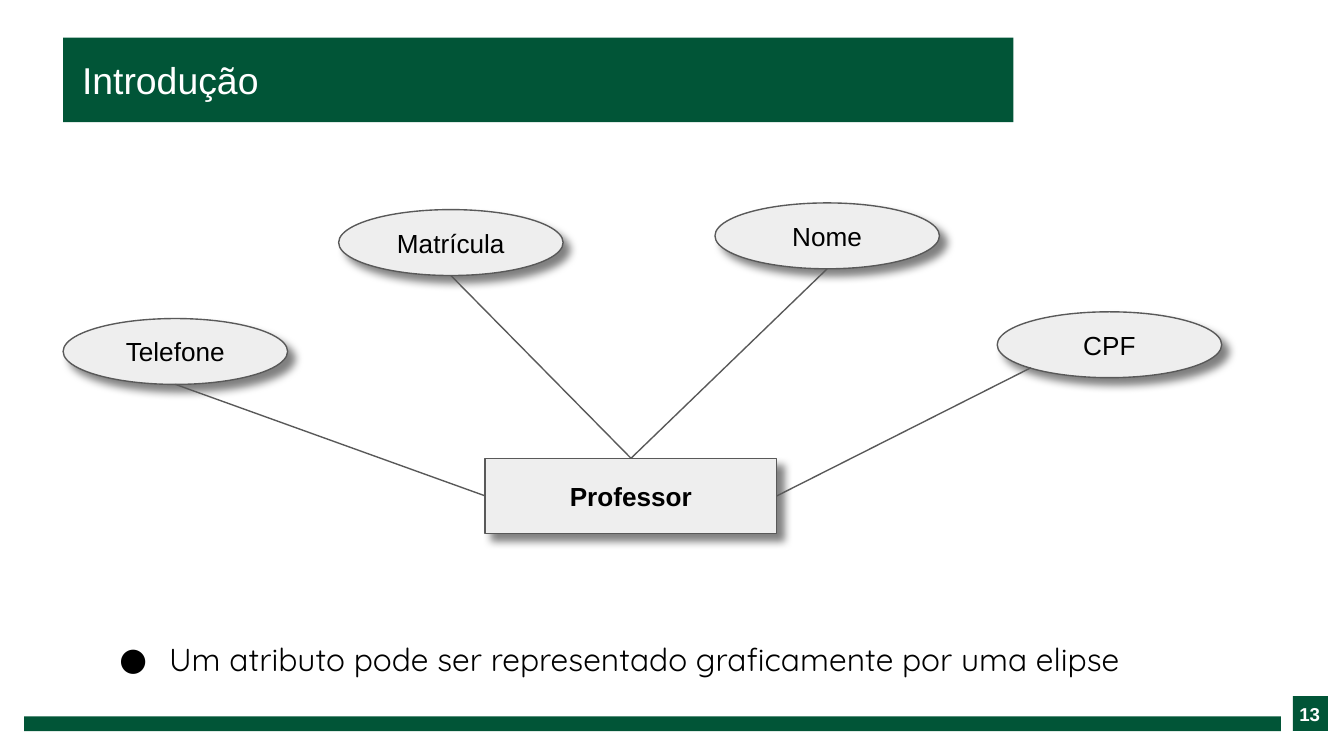
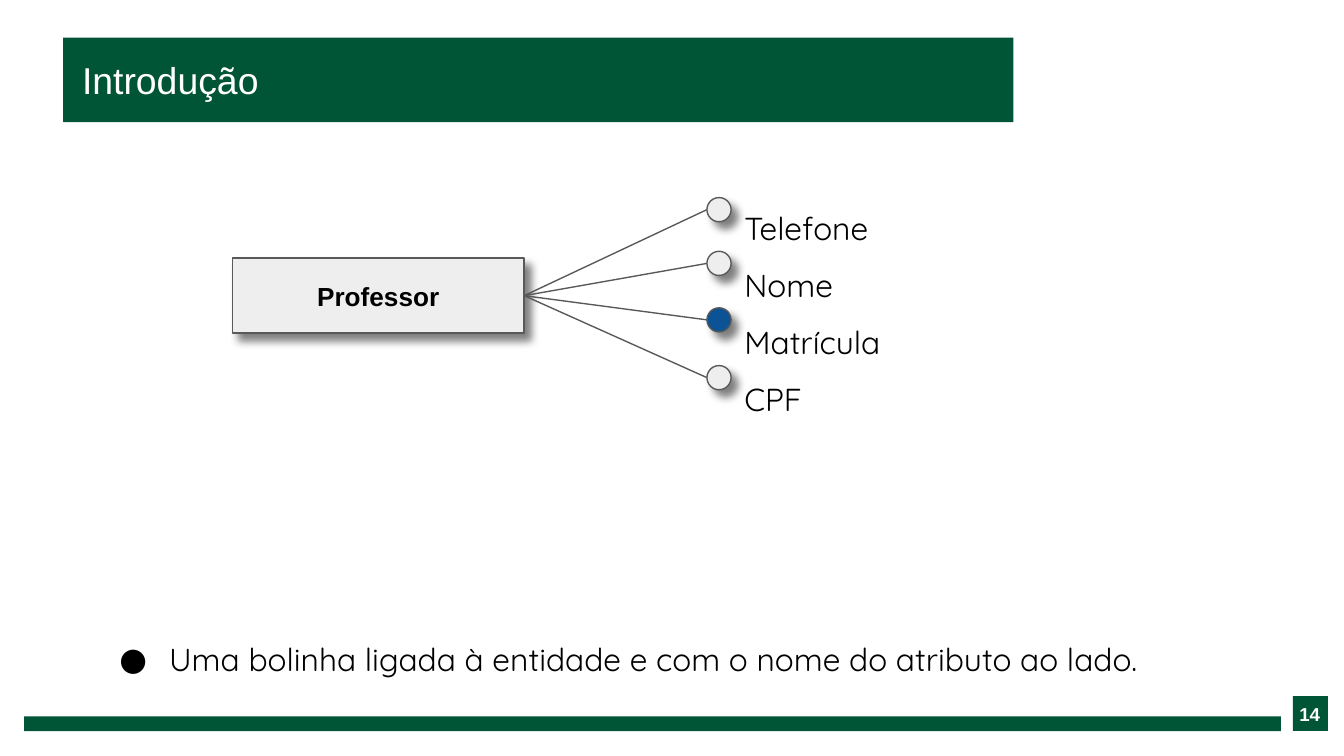
from dataclasses import dataclass
from typing import NamedTuple, Optional

from lxml import etree
from pptx import Presentation
from pptx import util as u
from pptx.dml.color import RGBColor
from pptx.enum import shapes, text
from pptx.oxml.ns import qn


# Theme and element descriptions
@dataclass(frozen=True)
class Theme:
    green: str = "015537"
    white: str = "FFFFFF"
    black: str = "000000"
    gray: str = "EEEEEE"
    outline: str = "595959"
    key_blue: str = "0B5394"
    line_width: float = 0.75
    title_size: int = 20
    body_size: int = 17
    label_size: int = 14
    number_size: int = 10
    plain_font: str = "Arial"
    body_font: str = "Quicksand"


THEME = Theme()


class Area(NamedTuple):
    left: float
    top: float
    width: float
    height: float

    def lengths(self) -> tuple:
        return tuple(u.Inches(value) for value in self)


class Style(NamedTuple):
    size: int
    name: str
    color: str = THEME.black
    bold: bool = False


class Attribute(NamedTuple):
    name: str
    left: float
    top: float
    link_x: float  # where the line meets the ellipse, as a share of its size
    link_y: float
    entity_site: int


class Dot(NamedTuple):
    top: float
    color: str = THEME.gray


TITLE_STYLE = Style(THEME.title_size, THEME.plain_font, THEME.white)
NUMBER_STYLE = Style(THEME.number_size, THEME.plain_font, THEME.white, True)
ENTITY_STYLE = Style(THEME.label_size, THEME.plain_font, bold=True)
LABEL_STYLE = Style(THEME.label_size, THEME.plain_font)
BODY_STYLE = Style(THEME.body_size, THEME.body_font)

TITLE_BAND = Area(0.47, 0.28, 7.07, 0.63)
FOOTER_BAND = Area(0.18, 5.33, 9.35, 0.11)
NUMBER_SQUARE = Area(9.62, 5.18, 0.26, 0.26)
NUMBER_TEXT = Area(9.51, 5.22, 0.41, 0.18)
BULLET_TEXT = Area(0.66, 4.66, 9.05, 0.49)
NAMES_TEXT = Area(5.44, 1.31, 1.37, 1.78)
ENTITY_SIZE = (2.17, 0.56)
ELLIPSE_SIZE = (1.67, 0.49)
DOT_LEFT, DOT_SIZE = 5.26, 0.18

# Connection sites of a rectangle
TOP, LEFT, RIGHT = 0, 1, 3

ATTRIBUTES = [
    Attribute("Telefone", 0.47, 2.37, 0.5, 1, LEFT),
    Attribute("Matrícula", 2.52, 1.56, 0.5, 1, TOP),
    Attribute("Nome", 5.32, 1.51, 0.5, 1, TOP),
    Attribute("CPF", 7.42, 2.32, 0.15, 0.85, RIGHT),
]
DOTS = [Dot(1.47), Dot(1.87), Dot(2.29, THEME.key_blue), Dot(2.72)]
DOT_NAMES = ["Telefone", "Nome", "Matrícula", "CPF"]


# Text helpers
def set_values(target, values: dict) -> None:
    for name, value in values.items():
        setattr(target, name, value)


def write(frame, lines: list, style: Style, margin: float = 0.1,
          anchor=text.MSO_ANCHOR.MIDDLE, align=text.PP_ALIGN.LEFT,
          grow: bool = False, spacing: Optional[float] = None) -> None:
    fit = text.MSO_AUTO_SIZE
    set_values(frame, {
        "word_wrap": True,
        "auto_size": fit.SHAPE_TO_FIT_TEXT if grow else fit.NONE,
        "vertical_anchor": anchor,
        "margin_left": u.Inches(margin),
        "margin_right": u.Inches(margin),
        "margin_top": u.Inches(0.1),
        "margin_bottom": u.Inches(0.1),
    })
    for index, line in enumerate(lines):
        para = frame.add_paragraph() if index else frame.paragraphs[0]
        set_values(para, {"alignment": align, "line_spacing": spacing})
        span = para.add_run()
        span.text = line
        set_values(span.font, {"size": u.Pt(style.size), "name": style.name,
                               "bold": style.bold})
        span.font.color.rgb = RGBColor.from_string(style.color)


def add_bullet(para) -> None:
    props = para._p.get_or_add_pPr()
    props.set("marL", str(u.Inches(0.5)))
    props.set("indent", str(u.Inches(-0.37)))
    color = etree.SubElement(props, qn("a:buClr"))
    etree.SubElement(color, qn("a:srgbClr"), val=THEME.black)
    etree.SubElement(props, qn("a:buFont"), typeface=THEME.body_font)
    etree.SubElement(props, qn("a:buChar"), char="●")


# Shape helpers
def add_band(page, area: Area) -> None:
    band = page.shapes.add_shape(shapes.MSO_SHAPE.RECTANGLE, *area.lengths())
    band.shadow.inherit = False
    band.fill.solid()
    band.fill.fore_color.rgb = RGBColor.from_string(THEME.green)
    band.line.fill.background()


def set_line(line) -> None:
    line.width = u.Pt(THEME.line_width)
    line.color.rgb = RGBColor.from_string(THEME.outline)


def add_node(page, kind, area: Area, color: str = THEME.gray):
    node = page.shapes.add_shape(kind, *area.lengths())
    node.fill.solid()
    node.fill.fore_color.rgb = RGBColor.from_string(color)
    set_line(node.line)
    # Soft shadow to the lower right
    node.shadow.inherit = False
    effects = node._element.spPr.find(qn("a:effectLst"))
    shadow = etree.SubElement(
        effects, qn("a:outerShdw"), blurRad=str(u.Pt(4.5)),
        dist=str(u.Pt(5.2)), dir=str(47 * 60000), algn="bl", rotWithShape="0")
    tint = etree.SubElement(shadow, qn("a:srgbClr"), val=THEME.black)
    etree.SubElement(tint, qn("a:alpha"), val="50000")
    return node


def add_entity(page, left: float, top: float):
    entity = add_node(page, shapes.MSO_SHAPE.RECTANGLE,
                      Area(left, top, *ENTITY_SIZE))
    write(entity.text_frame, ["Professor"], ENTITY_STYLE,
          align=text.PP_ALIGN.CENTER)
    return entity


def add_link(page, entity, site: int, node, share_x: float,
             share_y: float) -> None:
    end_x = int(node.left + node.width * share_x)
    end_y = int(node.top + node.height * share_y)
    link = page.shapes.add_connector(shapes.MSO_CONNECTOR.STRAIGHT,
                                     entity.left, entity.top, end_x, end_y)
    link.begin_connect(entity, site)
    set_line(link.line)
    etree.SubElement(link._element.spPr, qn("a:effectLst"))


# Parts shared by the slides
def add_page(deck, number: int, bullet: str):
    page = deck.slides.add_slide(deck.slide_layouts[5])
    title = page.shapes.title
    names = ("left", "top", "width", "height")
    set_values(title, dict(zip(names, TITLE_BAND.lengths())))
    title.fill.solid()
    title.fill.fore_color.rgb = RGBColor.from_string(THEME.green)
    write(title.text_frame, ["Introdução"], TITLE_STYLE, margin=0.14)

    add_band(page, FOOTER_BAND)
    add_band(page, NUMBER_SQUARE)
    box = page.shapes.add_textbox(*NUMBER_TEXT.lengths())
    write(box.text_frame, [str(number)], NUMBER_STYLE,
          align=text.PP_ALIGN.RIGHT)

    box = page.shapes.add_textbox(*BULLET_TEXT.lengths())
    write(box.text_frame, [bullet], BODY_STYLE,
          anchor=text.MSO_ANCHOR.TOP, grow=True)
    add_bullet(box.text_frame.paragraphs[0])
    return page


# Slides
def build_ellipse_page(deck) -> None:
    page = add_page(
        deck, 13,
        "Um atributo pode ser representado graficamente por uma elipse")
    entity = add_entity(page, 3.61, 3.41)
    for item in ATTRIBUTES:
        ellipse = add_node(page, shapes.MSO_SHAPE.FLOWCHART_CONNECTOR,
                           Area(item.left, item.top, *ELLIPSE_SIZE))
        write(ellipse.text_frame, [item.name], LABEL_STYLE,
              align=text.PP_ALIGN.CENTER)
        add_link(page, entity, item.entity_site, ellipse,
                 item.link_x, item.link_y)


def build_dot_page(deck) -> None:
    page = add_page(
        deck, 14,
        "Uma bolinha ligada à entidade e com o nome do atributo ao lado.")
    entity = add_entity(page, 1.73, 1.92)
    box = page.shapes.add_textbox(*NAMES_TEXT.lengths())
    write(box.text_frame, DOT_NAMES, BODY_STYLE,
          anchor=text.MSO_ANCHOR.TOP, grow=True, spacing=1.5)
    for item in DOTS:
        dot = add_node(page, shapes.MSO_SHAPE.OVAL,
                       Area(DOT_LEFT, item.top, DOT_SIZE, DOT_SIZE),
                       item.color)
        add_link(page, entity, RIGHT, dot, 0, 0.5)


def main() -> None:
    deck = Presentation()
    # Widescreen, 16 to 9
    deck.slide_width = u.Inches(10)
    deck.slide_height = u.Inches(10 * 9 / 16)
    build_ellipse_page(deck)
    build_dot_page(deck)
    deck.save("out.pptx")


if __name__ == "__main__":
    main()
